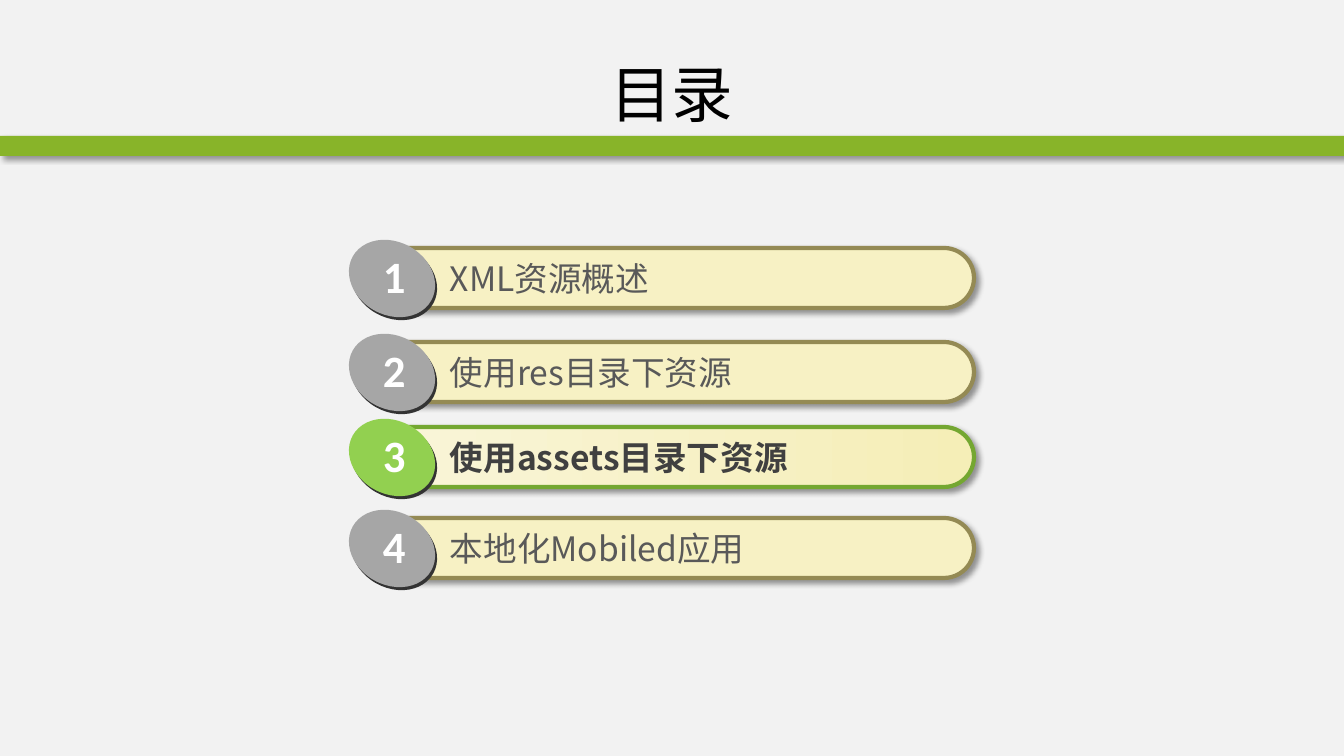
from dataclasses import dataclass

import lxml.etree
import pptx
import pptx.dml.color
import pptx.enum.shapes
import pptx.enum.text
import pptx.oxml.ns
import pptx.util

PX = 9071.43  # EMU per pixel at 100.8 pixels to the inch
SHAPE = pptx.enum.shapes.MSO_SHAPE
ALIGN = pptx.enum.text.PP_ALIGN
ANCHOR = pptx.enum.text.MSO_ANCHOR


@dataclass(frozen=True)
class Theme:
    background: str = "F2F2F2"
    band: str = "88B429"
    title: str = "000000"
    number: str = "FFFFFF"
    disc_edge: str = "333333"
    disc: str = "A6A6A6"
    disc_current: str = "92D050"
    bar: str = "F7F1C4"
    bar_current: tuple = ("F9F5D9", "F5EEB7")
    border: str = "948A54"
    border_current: str = "74A731"
    label: str = "595959"
    label_current: str = "404040"
    text_font: str = "Noto Sans CJK SC"
    number_font: str = "Calibri"
    title_size: int = 44
    label_size: int = 24
    number_size: int = 32


THEME = Theme()
CURRENT = 3
TOPICS = [
    (248, "XML资源概述"),
    (342, "使用res目录下资源"),
    (427, "使用assets目录下资源"),
    (518, "本地化Mobiled应用"),
]


def px(length):
    return pptx.util.Emu(round(length * PX))


def rgb(color):
    return pptx.dml.color.RGBColor.from_string(color)


def add_figure(slide, preset, box, fill, border=None):
    """Add a preset shape; a pair of colours as fill gives a horizontal gradient."""
    figure = slide.shapes.add_shape(preset, *map(px, box))
    figure.shadow.inherit = False
    if isinstance(fill, tuple):
        figure.fill.gradient()
        figure.fill.gradient_angle = 0
        for stop, position, color in zip(figure.fill.gradient_stops, (0, 1), fill):
            stop.position = position
            stop.color.rgb = rgb(color)
    else:
        figure.fill.solid()
        figure.fill.fore_color.rgb = rgb(fill)
    if border:
        figure.line.color.rgb = rgb(border)
        figure.line.width = pptx.util.Pt(3)
    else:
        figure.line.fill.background()
    return figure


def cast_shadow(figure):
    qn = pptx.oxml.ns.qn
    effects = figure.element.spPr.find(qn("a:effectLst"))
    shadow = lxml.etree.SubElement(
        effects, qn("a:outerShdw"), blurRad=str(pptx.util.Pt(4)),
        dist=str(pptx.util.Pt(3)), dir="2700000", algn="tl", rotWithShape="0")
    color = lxml.etree.SubElement(shadow, qn("a:srgbClr"), val="000000")
    lxml.etree.SubElement(color, qn("a:alpha"), val="40000")


def add_text(slide, box, text, font, size, color, bold=False,
             align=ALIGN.LEFT, anchor=ANCHOR.TOP, wrap=True):
    frame = slide.shapes.add_textbox(*map(px, box)).text_frame
    frame.word_wrap = wrap
    frame.vertical_anchor = anchor
    paragraph = frame.paragraphs[0]
    paragraph.text = text
    paragraph.alignment = align
    style = paragraph.font
    style.name = font
    style.size = pptx.util.Pt(size)
    style.bold = bold
    style.color.rgb = rgb(color)
    # East Asian characters take their typeface from a:ea, right after a:latin
    qn = pptx.oxml.ns.qn
    latin = paragraph._p.pPr.find(qn("a:defRPr")).find(qn("a:latin"))
    east_asian = lxml.etree.Element(qn("a:ea"), typeface=font)
    latin.addnext(east_asian)


def add_header(slide, title):
    band = add_figure(slide, SHAPE.RECTANGLE, (0, 136, 1344, 20), THEME.band)
    cast_shadow(band)
    add_text(slide, (67, 30, 1210, 126), title, THEME.text_font, THEME.title_size,
             THEME.title, align=ALIGN.CENTER, anchor=ANCHOR.MIDDLE)


def add_disc(slide, left, top, fill):
    disc = add_figure(slide, SHAPE.OVAL, (left, top, 90, 73), fill)
    disc.rotation = 29.3


def add_topic(slide, number, top, topic):
    current = number == CURRENT
    bar = add_figure(slide, SHAPE.ROUNDED_RECTANGLE, (369, top, 605, 60),
                     THEME.bar_current if current else THEME.bar,
                     THEME.border_current if current else THEME.border)
    bar.adjustments[0] = 0.5
    cast_shadow(bar)
    add_text(slide, (440, top + 5, 494, 51), topic, THEME.text_font, THEME.label_size,
             THEME.label_current if current else THEME.label, bold=current)
    add_disc(slide, 349, top - 3, THEME.disc_edge)
    add_disc(slide, 347, top - 6, THEME.disc_current if current else THEME.disc)
    add_text(slide, (373, top - 4, 43, 64), str(number), THEME.number_font,
             THEME.number_size, THEME.number, bold=True, wrap=False)


def main():
    deck = pptx.Presentation()
    deck.slide_width, deck.slide_height = px(1344), px(756)
    slide = deck.slides.add_slide(deck.slide_layouts[6])
    slide.background.fill.solid()
    slide.background.fill.fore_color.rgb = rgb(THEME.background)
    add_header(slide, "目录")
    for number, (top, topic) in enumerate(TOPICS, start=1):
        add_topic(slide, number, top, topic)
    deck.save("out.pptx")


if __name__ == "__main__":
    main()
